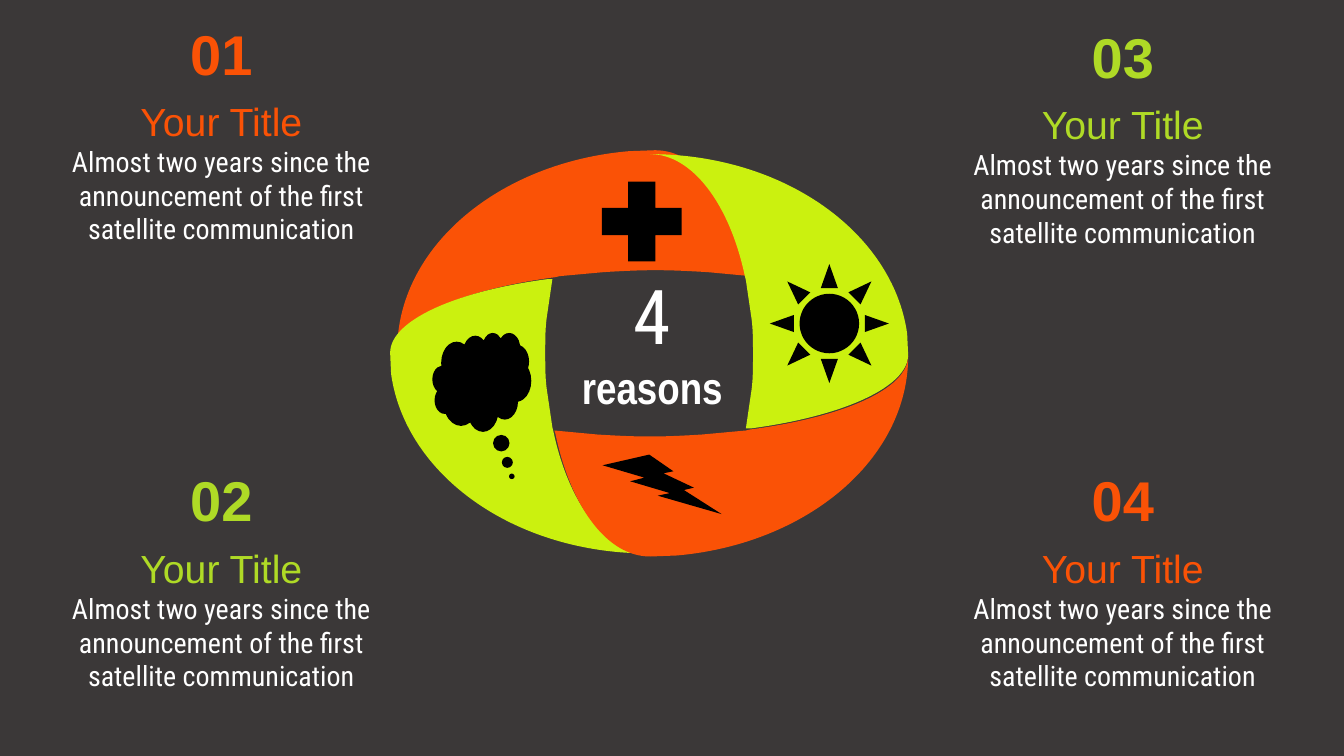
import pptx
import pptx.util
import pptx.dml.color
import pptx.enum.shapes
import pptx.enum.text
import pptx.oxml
import pptx.oxml.ns

Pt = pptx.util.Pt
SHAPE = pptx.enum.shapes.MSO_SHAPE

SLIDE_SIZE = (960, 540)
BACKDROP, WHITE, BLACK = "3B3838", "FFFFFF", "000000"
ORANGE, LIME, GREEN = "FA5206", "CBF10F", "AFDA26"

TITLE = "Your Title"
DETAIL = "Almost two years since the announcement of the first satellite communication"
LEFT_COLUMN, RIGHT_COLUMN = 41.8, 685.7
# number, column left, top, colour
REASONS = [
    ("01", LEFT_COLUMN, 10.1, ORANGE),
    ("04", RIGHT_COLUMN, 329.3, ORANGE),
    ("02", LEFT_COLUMN, 329.3, GREEN),
    ("03", RIGHT_COLUMN, 12.4, GREEN),
]
COLUMN_WIDTH, NUMBER_WIDTH = 232.6, 59.8
NUMBER_HEIGHT, DETAIL_HEIGHT, DETAIL_DROP = 55.4, 113.8, 56

CENTRE_LABEL = [("4", 54, "Roboto Condensed", WHITE, False),
                ("reasons", 32, "Arial Narrow", WHITE, True)]
CENTRE_BOX = (395.8, 188.6, 140.4, 111.6)

# Blade outlines around the blade's turning centre: a single point is a
# straight step, three points are two Bezier handles and an end.
BOTTOM_BLADE = [
    [(182.5, 1.8)],
    [(182.5, 76), (109.8, 136.4), (16.9, 144.4)],
    [(-1.8, 145.1)],
    [(-32.8, 145.1), (-58.7, 109.1), (-69.5, 57.2)],
    [(-70.2, 55.1)],
    [(-39.2, 58)],
    [(-27, 58.7), (-14.8, 59.4), (-1.8, 59.4)],
    [(10.4, 59.4), (23.4, 58.7), (34.9, 58)],
    [(66.6, 55.1)],
    [(69.5, 54.4)],
    [(135.7, 45.7), (182.5, 25.6), (182.5, 1.8)],
]
RIGHT_BLADE = [
    [(0.7, -142.6)],
    [(96.5, -142.6), (174.2, -86.4), (184.3, -14.4)],
    [(185, 0.7)],
    [(185, 23.8), (138.2, 44.6), (72.7, 53.3)],
    [(69.1, 53.3)],
    [(72.7, 28.8)],
    [(74.2, 20.2), (74.2, 10.1), (74.2, 0.7)],
    [(74.2, -9.4), (74.2, -19.4), (72.7, -28.1)],
    [(69.1, -52.6)],
    [(68.4, -55.4)],
    [(57.6, -106.6), (31, -142.6), (0.7, -142.6)],
]
ORANGE_CENTRE, LIME_CENTRE = (466.2, 252.4), (463.7, 252.7)
# outline, centre, direction (-1 is a half turn), colour
BLADES = [
    (BOTTOM_BLADE, ORANGE_CENTRE, -1, ORANGE),
    (RIGHT_BLADE, LIME_CENTRE, 1, LIME),
    (RIGHT_BLADE, LIME_CENTRE, -1, LIME),
    (BOTTOM_BLADE, ORANGE_CENTRE, 1, ORANGE),
]

# preset, box, adjustments
ICONS = [
    (SHAPE.CROSS, (429.9, 129.7, 57, 57), [0.328]),
    (SHAPE.CLOUD_CALLOUT, (308.9, 237.6, 70.6, 70.6), [0.303, 0.954]),
    (SHAPE.SUN, (549.9, 188.6, 85, 85), []),
    (SHAPE.LIGHTNING_BOLT, (430.4, 324.7, 85, 42.5), []),
]


def rgb(colour):
    return pptx.dml.color.RGBColor.from_string(colour)


def paint(shape, colour):
    shape.fill.solid()
    shape.fill.fore_color.rgb = rgb(colour)
    shape.line.fill.background()
    shape.shadow.inherit = False


def add_preset(slide, preset, box, colour, adjustments=()):
    shape = slide.shapes.add_shape(preset, *map(Pt, box))
    for index, value in enumerate(adjustments):
        shape.adjustments[index] = value
    paint(shape, colour)


def bend(shape, outline):
    """Merge the line segments of each three-point step into one Bezier."""
    qn = pptx.oxml.ns.qn
    segments = iter(list(shape.element.iter(qn("a:lnTo"))))
    for step in outline[1:]:
        first, *others = [next(segments) for _ in step]
        if not others:
            continue
        curve = pptx.oxml.parse_xml(
            "<a:cubicBezTo %s/>" % pptx.oxml.ns.nsdecls("a"))
        first.addprevious(curve)
        for segment in (first, *others):
            curve.append(segment.find(qn("a:pt")))
            segment.getparent().remove(segment)


def add_blade(slide, outline, centre, direction, colour):
    start, *points = [(Pt(centre[0] + direction * x), Pt(centre[1] + direction * y))
                      for step in outline for x, y in step]
    builder = slide.shapes.build_freeform(*start)
    builder.add_line_segments(points, close=True)
    blade = builder.convert_to_shape()
    bend(blade, outline)
    paint(blade, colour)


def add_text(slide, box, lines):
    """Add centred lines, each given as text, size, font, colour and bold."""
    frame = slide.shapes.add_textbox(*map(Pt, box)).text_frame
    frame.word_wrap = True
    frame.auto_size = pptx.enum.text.MSO_AUTO_SIZE.SHAPE_TO_FIT_TEXT
    for index, (text, size, font, colour, bold) in enumerate(lines):
        paragraph = frame.add_paragraph() if index else frame.paragraphs[0]
        paragraph.text = text
        paragraph.alignment = pptx.enum.text.PP_ALIGN.CENTER
        paragraph.font.size = Pt(size)
        paragraph.font.name = font
        paragraph.font.bold = bold
        paragraph.font.color.rgb = rgb(colour)


def main():
    deck = pptx.Presentation()
    deck.slide_width, deck.slide_height = map(Pt, SLIDE_SIZE)
    slide = deck.slides.add_slide(deck.slide_layouts[6])

    add_preset(slide, SHAPE.RECTANGLE, (0, 0, *SLIDE_SIZE), BACKDROP)
    for blade in BLADES:
        add_blade(slide, *blade)

    for number, left, top, colour in REASONS:
        number_left = left + (COLUMN_WIDTH - NUMBER_WIDTH) / 2
        add_text(slide, (number_left, top, NUMBER_WIDTH, NUMBER_HEIGHT),
                 [(number, 40, "Arial", colour, True)])
        add_text(slide, (left, top + DETAIL_DROP, COLUMN_WIDTH, DETAIL_HEIGHT),
                 [(TITLE, 28, "Arial", colour, False),
                  (DETAIL, 20, "Roboto Condensed", WHITE, False)])

    add_text(slide, CENTRE_BOX, CENTRE_LABEL)
    for preset, box, adjustments in ICONS:
        add_preset(slide, preset, box, BLACK, adjustments)

    deck.save("out.pptx")


if __name__ == "__main__":
    main()
